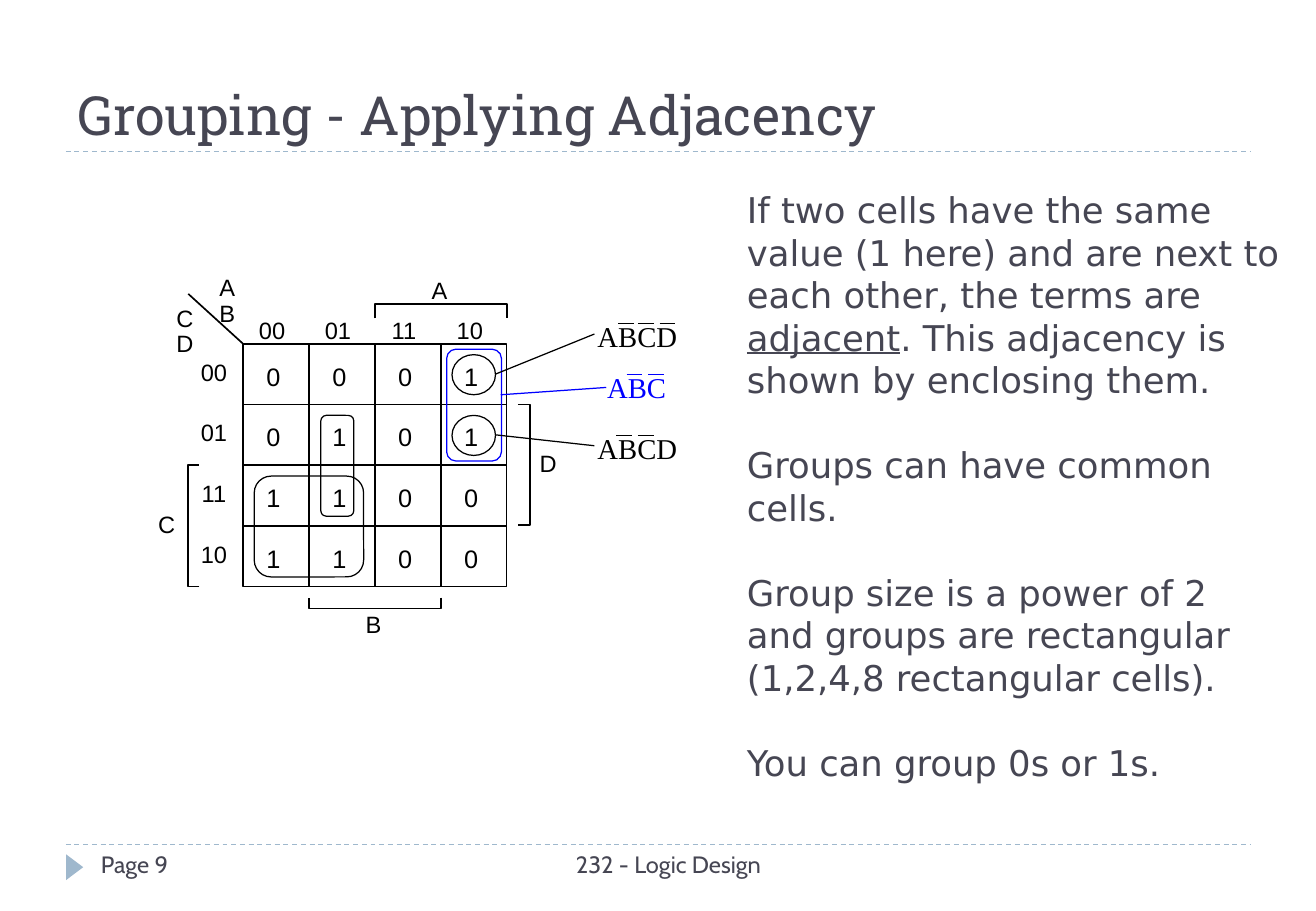
"""Build a slide on grouping adjacent cells of a Karnaugh map."""
from dataclasses import dataclass

from lxml import etree
from pptx import Presentation
from pptx import util as u
from pptx.dml.color import RGBColor
from pptx.enum import dml, shapes, text

INK = RGBColor(0x46, 0x46, 0x53)
STEEL = RGBColor(0x9F, 0xB8, 0xCD)
BLACK = RGBColor(0, 0, 0)
BLUE = RGBColor(0, 0, 0xFF)
CENTER = text.PP_ALIGN.CENTER
TOP, MIDDLE, BOTTOM = (
    text.MSO_ANCHOR.TOP, text.MSO_ANCHOR.MIDDLE, text.MSO_ANCHOR.BOTTOM)
OVAL, ROUNDED = shapes.MSO_SHAPE.OVAL, shapes.MSO_SHAPE.ROUNDED_RECTANGLE


@dataclass
class Grid:
    """Turn columns and rows into slide lengths."""
    left: float
    top: float
    col: float
    row: float

    def point(self, col, row):
        return (u.Inches(self.left + col * self.col),
                u.Inches(self.top + row * self.row))

    def box(self, col, row, cols, rows):
        return (*self.point(col, row),
                u.Inches(cols * self.col), u.Inches(rows * self.row))


WIDTH, HEIGHT = 10.83, 7.5
PAGE = Grid(0, 0, WIDTH / 20, HEIGHT / 30)
MAP = Grid(2, 2.83, 2.17 / 4, 0.5)

TITLE = {"name": "Roboto Slab", "size": u.Pt(32)}
BODY = {"name": "DejaVu Sans", "size": u.Pt(21)}
FOOTER = {"name": "Cabin", "size": u.Pt(14)}
HEADING = {"name": "Arial", "size": u.Pt(14)}
VALUE = {"name": "Arial", "size": u.Pt(15)}
TERM = {"name": "Times New Roman", "size": u.Pt(17)}

GRAY_CODE = ["00", "01", "11", "10"]
VALUES = ["0001", "0101", "1100", "1100"]
CORNER_AND_VARIABLES = [
    ("AB", -0.24, -0.69), ("CD", -0.88, -0.19), ("A", 2.98, -0.85),
    ("B", 1.98, 4.65), ("C", -1.16, 2.99), ("D", 4.63, 1.99)]
BRACKETS = [
    [(2, -0.42), (2, -0.66), (4, -0.66), (4, -0.42)],
    [(3, 4.18), (3, 4.36), (1, 4.36), (1, 4.18)],
    [(-0.66, 4), (-0.83, 4), (-0.83, 2), (-0.66, 2)],
    [(4.17, 1), (4.35, 1), (4.35, 2.98), (4.17, 2.98)]]
GROUPS = [
    (OVAL, (3.17, 0.18, 0.66, 0.66), BLACK),
    (OVAL, (3.17, 1.18, 0.66, 0.66), BLACK),
    (ROUNDED, (3.09, 0.09, 0.83, 1.84), BLUE),
    (ROUNDED, (0.17, 2.18, 1.66, 1.66), BLACK),
    (ROUNDED, (1.18, 1.18, 0.5, 1.66), BLACK)]
TERMS = [
    ("ABCD", (5.98, -0.13), (-0.29, 0.01, 0.34),
     ((3.83, 0.5), (5.33, -0.16)), BLACK),
    ("ABC", (5.97, 0.71), (-0.15, 0.18),
     ((3.91, 0.84), (5.51, 0.72)), BLUE),
    ("ABCD", (5.98, 1.71), (-0.32, 0.01),
     ((3.83, 1.5), (5.33, 1.68)), BLACK)]
NOTES = [
    [("If two cells have the same value (1 here) and are next to each other, "
      "the terms are ", False), ("adjacent", True),
     (". This adjacency is shown by enclosing them.", False)],
    [("Groups can have common cells.", False)],
    [("Group size is a power of 2 and groups are rectangular "
      "(1,2,4,8 rectangular cells).", False)],
    [("You can group 0s or 1s.", False)]]


def apply(target, formats):
    for key, value in formats.items():
        setattr(target, key, value)


def add_run(paragraph, words, font, color):
    run = paragraph.add_run()
    run.text = words
    apply(run.font, font)
    run.font.color.rgb = color


def add_frame(slide, box, wrap=True, anchor=TOP):
    frame = slide.shapes.add_textbox(*box).text_frame
    apply(frame, {"word_wrap": wrap, "vertical_anchor": anchor})
    return frame


def add_line(slide, grid, start, end, color=BLACK, width=1, dash=None):
    line = slide.shapes.add_connector(
        shapes.MSO_CONNECTOR.STRAIGHT, *grid.point(*start), *grid.point(*end))
    line.line.color.rgb = color
    apply(line.line, {"width": u.Pt(width), "dash_style": dash})
    properties = line._element.spPr
    etree.SubElement(properties, properties.ln.tag.replace("}ln", "}effectLst"))


def outline(shape, color=BLACK, width=1):
    shape.shadow.inherit = False
    shape.fill.background()
    shape.line.color.rgb = color
    shape.line.width = u.Pt(width)


def add_label(slide, words, col, row, size, font, color=BLACK, spacing=1.0):
    """Centre a short label on a point of the map."""
    cols, rows = size
    box = MAP.box(col - cols / 2, row - rows / 2, cols, rows)
    paragraph = add_frame(slide, box, False, MIDDLE).paragraphs[0]
    apply(paragraph, {"alignment": CENTER, "line_spacing": spacing})
    add_run(paragraph, words, font, color)


def add_heading(slide, words, col, row):
    add_label(slide, words, col, row, (0.77, 0.62), HEADING, spacing=0.9)


def add_bracket(slide, corners):
    start, *others = [MAP.point(*corner) for corner in corners]
    builder = slide.shapes.build_freeform(*start)
    builder.add_line_segments(others, close=False)
    outline(builder.convert_to_shape())


def add_page_text(slide, words, box, font, align=None, anchor=TOP):
    paragraph = add_frame(slide, PAGE.box(*box), anchor=anchor).paragraphs[0]
    paragraph.alignment = align
    add_run(paragraph, words, font, INK)


def add_page_frame(slide):
    for row in (27.8, 5):
        add_line(slide, PAGE, (1, row), (19, row), STEEL, 0.75,
                 dml.MSO_LINE.DASH)
    marker = slide.shapes.add_shape(
        shapes.MSO_SHAPE.ISOSCELES_TRIANGLE, *PAGE.box(0.94, 28.28, 0.39, 0.56))
    marker.rotation = 90
    marker.shadow.inherit = False
    marker.fill.solid()
    marker.fill.fore_color.rgb = STEEL
    marker.line.fill.background()
    add_page_text(slide, "232 - Logic Design", (6.33, 27.8, 7.66, 1.6),
                  FOOTER, CENTER)
    add_page_text(slide, "Page 9", (1.35, 27.8, 4.34, 1.6), FOOTER)
    add_page_text(slide, "Grouping - Applying Adjacency", (1, 0.68, 18, 4.32),
                  TITLE, anchor=BOTTOM)


def add_map(slide):
    outline(slide.shapes.add_shape(
        shapes.MSO_SHAPE.RECTANGLE, *MAP.box(0, 0, 4, 4)))
    for step in (1, 2, 3):
        add_line(slide, MAP, (0, step), (4, step))
        add_line(slide, MAP, (step, 0), (step, 4))
    add_line(slide, MAP, (0, 0), (-0.83, -0.82))
    for step, code in enumerate(GRAY_CODE):
        add_heading(slide, code, step + 0.44, -0.19)
        add_heading(slide, code, -0.44, step + 0.49)
    for heading in CORNER_AND_VARIABLES:
        add_heading(slide, *heading)
    for corners in BRACKETS:
        add_bracket(slide, corners)
    for row, values in enumerate(VALUES):
        for col, value in enumerate(values):
            add_label(slide, value, col + 0.46, row + 0.53, (0.59, 0.7), VALUE)


def add_groups(slide):
    for kind, box, color in GROUPS:
        outline(slide.shapes.add_shape(kind, *MAP.box(*box)), color, 0.75)


def add_terms(slide):
    for letters, (col, row), bars, leader, color in TERMS:
        add_label(slide, letters, col, row, (1.6, 0.78), TERM, color)
        for bar in bars:
            add_line(slide, MAP, (col + bar, row - 0.2),
                     (col + bar + 0.24, row - 0.2), color, 0.75)
        add_line(slide, MAP, *leader, color, 0.75)


def add_notes_column(slide):
    frame = add_frame(slide, PAGE.box(11.17, 6, 8.49, 21.68))
    for index, note in enumerate(NOTES):
        paragraph = frame.add_paragraph() if index else frame.paragraphs[0]
        apply(paragraph, {"line_spacing": u.Pt(25.2),
                          "space_after": u.Pt(25.2)})
        for words, underline in note:
            add_run(paragraph, words, {**BODY, "underline": underline}, INK)


def main():
    deck = Presentation()
    apply(deck, {"slide_width": u.Inches(WIDTH),
                 "slide_height": u.Inches(HEIGHT)})
    slide = deck.slides.add_slide(deck.slide_layouts[6])
    for add_part in (add_page_frame, add_map, add_groups, add_terms,
                     add_notes_column):
        add_part(slide)
    deck.save("out.pptx")


if __name__ == "__main__":
    main()
